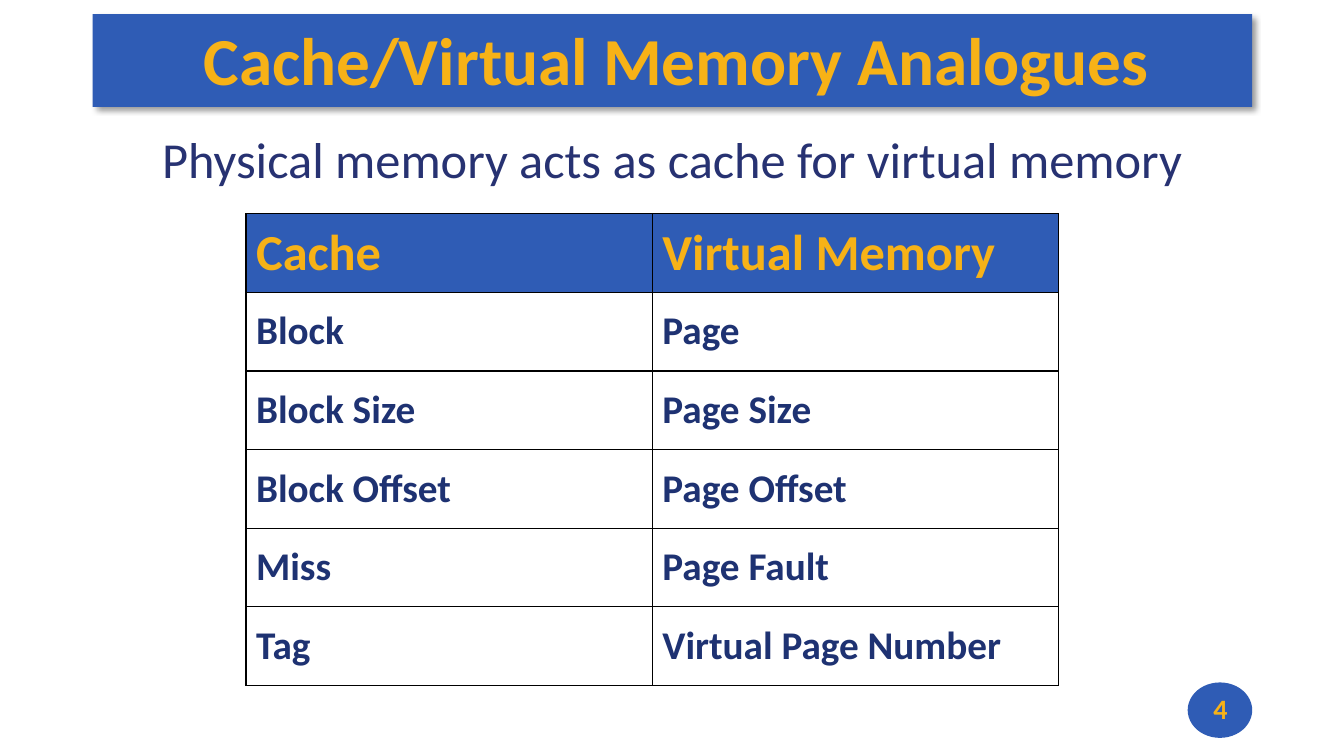
from dataclasses import dataclass

from lxml.etree import SubElement
from pptx import Presentation
from pptx.dml.color import RGBColor
from pptx.enum.shapes import MSO_SHAPE as Shape
from pptx.enum.text import MSO_ANCHOR as Anchor, MSO_AUTO_SIZE as AutoSize, PP_ALIGN as Align
from pptx.oxml.ns import qn
from pptx.util import Inches, Pt

TITLE = "Cache/Virtual Memory Analogues"
SUBTITLE = "Physical memory acts as cache for virtual memory"
PAGE_NUMBER = "4"
ANALOGUES = [
    ("Cache", "Virtual Memory"),
    ("Block", "Page"),
    ("Block Size", "Page Size"),
    ("Block Offset", "Page Offset"),
    ("Miss", "Page Fault"),
    ("Tag", "Virtual Page Number"),
]


@dataclass(frozen=True)
class Theme:
    font: str = "Calibri"
    blue: str = "2F5CB5"
    gold: str = "F7B217"
    subtitle_ink: str = "273272"
    cell_ink: str = "1E3272"
    black: str = "000000"
    title_size: int = 48
    heading_size: int = 36
    cell_size: int = 28
    number_size: int = 20


THEME = Theme()
LEFT, WIDTH = 0.92, 11.5
TABLE_LEFT, TABLE_TOP = 2.44, 2.12
COLUMN_WIDTH, ROW_HEIGHT = 4.03, 0.78
BADGE_LEFT, BADGE_TOP, BADGE_WIDTH = 11.78, 6.77, 0.64


def write(frame, text, size, color, bold=True, align=Align.LEFT):
    paragraph = frame.paragraphs[0]
    paragraph.alignment = align
    run = paragraph.add_run()
    run.text = text
    run.font.name = THEME.font
    run.font.size = Pt(size)
    run.font.bold = bold
    run.font.color.rgb = RGBColor.from_string(color)
    return paragraph


def place(shape, left, top, width, height):
    shape.left, shape.top = Inches(left), Inches(top)
    shape.width, shape.height = Inches(width), Inches(height)


def add_blue_shape(slide, kind, left, top, width, height):
    shape = slide.shapes.add_shape(
        kind, Inches(left), Inches(top), Inches(width), Inches(height))
    shape.shadow.inherit = False
    shape.fill.solid()
    shape.fill.fore_color.rgb = RGBColor.from_string(THEME.blue)
    shape.line.fill.background()
    return shape


def add_shadow(shape):
    effects = shape.element.spPr.find(qn("a:effectLst"))
    shadow = SubElement(effects, qn("a:outerShdw"), blurRad=str(Pt(4)),
                        dist=str(Pt(3)), dir=str(45 * 60000), algn="tl", rotWithShape="0")
    color = SubElement(shadow, qn("a:srgbClr"), val=THEME.black)
    SubElement(color, qn("a:alpha"), val="40000")


def add_borders(cell):
    properties = cell._tc.get_or_add_tcPr()
    for side in ("a:lnL", "a:lnR", "a:lnT", "a:lnB"):
        line = SubElement(properties, qn(side), w=str(Pt(1)))
        fill = SubElement(line, qn("a:solidFill"))
        SubElement(fill, qn("a:srgbClr"), val=THEME.black)


def add_title(slide):
    banner = add_blue_shape(slide, Shape.RECTANGLE, LEFT, 0.14, WIDTH, 0.92)
    add_shadow(banner)
    title = slide.shapes.title
    title.element.addprevious(banner.element)
    place(title, LEFT, 0.12, WIDTH, 0.92)
    frame = title.text_frame
    frame.auto_size = AutoSize.NONE
    frame.vertical_anchor = Anchor.MIDDLE
    frame.margin_left, frame.margin_right = Inches(0.08), 0
    frame.margin_top = frame.margin_bottom = Inches(0.03)
    write(frame, TITLE, THEME.title_size, THEME.gold, align=Align.CENTER)


def add_subtitle(slide):
    body = slide.placeholders[1]
    place(body, LEFT, 1.29, WIDTH, 0.78)
    body.text_frame.auto_size = AutoSize.NONE
    paragraph = write(body.text_frame, SUBTITLE, THEME.heading_size,
                      THEME.subtitle_ink, bold=False, align=Align.CENTER)
    paragraph.line_spacing = 0.9
    paragraph.space_before = Pt(10)
    properties = paragraph._p.get_or_add_pPr()
    properties.set("marL", str(Inches(0.25)))
    properties.set("indent", str(Inches(-0.25)))
    SubElement(properties, qn("a:buNone"))


def add_analogues(slide):
    rows, columns = len(ANALOGUES), len(ANALOGUES[0])
    table = slide.shapes.add_table(
        rows, columns, Inches(TABLE_LEFT), Inches(TABLE_TOP),
        Inches(columns * COLUMN_WIDTH), Inches(rows * ROW_HEIGHT)).table
    table.horz_banding = False
    for r, pair in enumerate(ANALOGUES):
        for c, term in enumerate(pair):
            cell = table.cell(r, c)
            cell.vertical_anchor = Anchor.MIDDLE
            add_borders(cell)
            if r == 0:
                cell.fill.solid()
                cell.fill.fore_color.rgb = RGBColor.from_string(THEME.blue)
                write(cell.text_frame, term, THEME.heading_size, THEME.gold)
            else:
                cell.fill.background()
                write(cell.text_frame, term, THEME.cell_size, THEME.cell_ink)


def add_page_number(slide):
    add_blue_shape(slide, Shape.OVAL, BADGE_LEFT, BADGE_TOP, BADGE_WIDTH, 0.55)
    number = slide.shapes.add_textbox(
        Inches(BADGE_LEFT), Inches(BADGE_TOP), Inches(0.65), Inches(0.52))
    number.text_frame.word_wrap = True
    number.text_frame.vertical_anchor = Anchor.MIDDLE
    write(number.text_frame, PAGE_NUMBER, THEME.number_size, THEME.gold, align=Align.CENTER)


def main():
    deck = Presentation()
    deck.slide_width, deck.slide_height = Inches(13.33), Inches(7.5)
    slide = deck.slides.add_slide(deck.slide_layouts[1])
    add_title(slide)
    add_subtitle(slide)
    add_analogues(slide)
    add_page_number(slide)
    deck.save("out.pptx")


if __name__ == "__main__":
    main()
